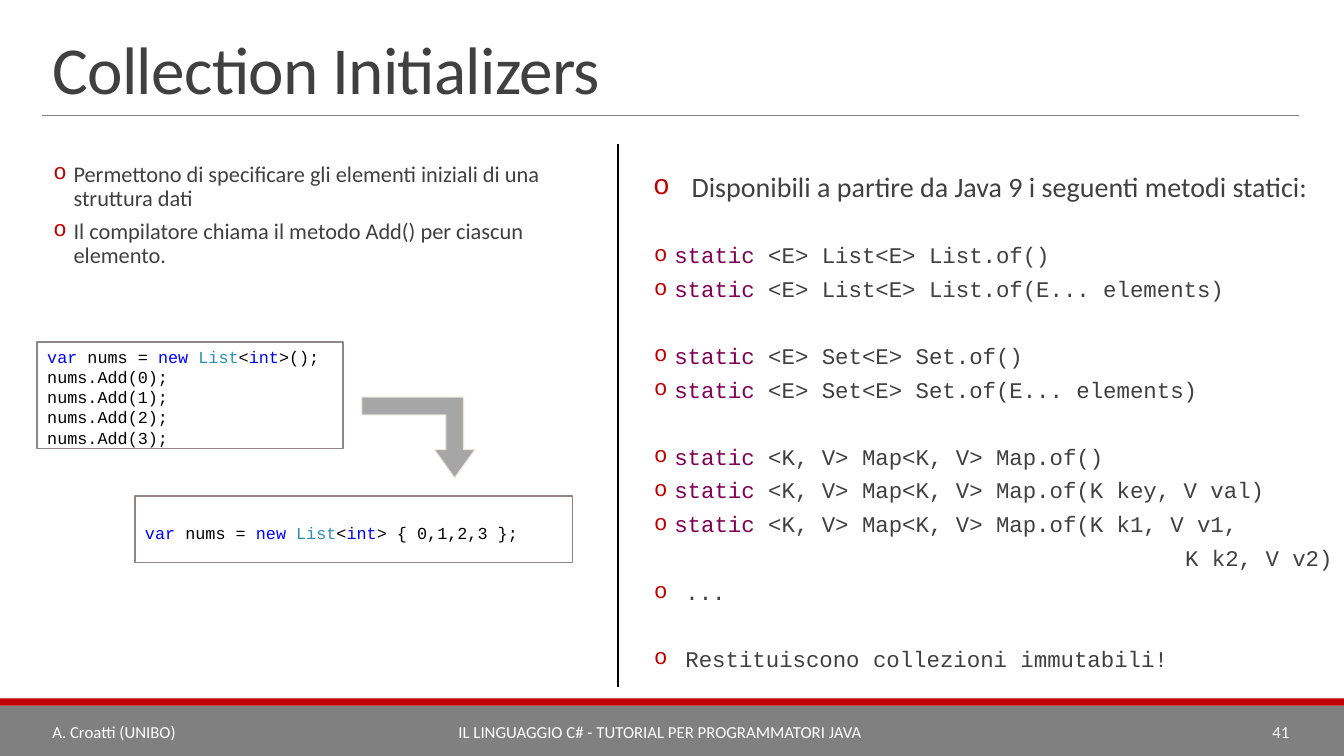
from lxml import etree
from pptx import Presentation, util as u
from pptx.dml.color import RGBColor
from pptx.enum import shapes, text
from pptx.oxml import ns

COLS, ROWS = 133.33, 75
CELL = u.Inches(0.1)
SANS, MONO = "Calibri", "Courier New"
INK, WHITE, BLACK, RED, GREY = "404040", "FFFFFF", "000000", "C00000", "808080"
KEYWORD, TYPE, STATIC = "0000FF", "2B91AF", "7F0055"
LEFT, CENTER, RIGHT = text.PP_ALIGN.LEFT, text.PP_ALIGN.CENTER, text.PP_ALIGN.RIGHT


def grid(*cells):
    return [round(c * CELL) for c in cells]


def rgb(value):
    return RGBColor.from_string(value)


def child(parent, tag, **attrs):
    el = etree.SubElement(parent, ns.qn(tag))
    for key, value in attrs.items():
        el.set(key, str(value))
    return el


def add_box(s, box, fill, line=None, width=1, kind=shapes.MSO_SHAPE.RECTANGLE):
    sp = s.shapes.add_shape(kind, *grid(*box))
    sp.shadow.inherit = False
    sp.fill.solid()
    sp.fill.fore_color.rgb = rgb(fill)
    if line:
        sp.line.color.rgb = rgb(line)
        sp.line.width = u.Pt(width)
    else:
        sp.line.fill.background()
    return sp


def add_line(s, start, end, color, width):
    ln = s.shapes.add_connector(shapes.MSO_CONNECTOR.STRAIGHT, *grid(*start, *end))
    ln.line.color.rgb = rgb(color)
    ln.line.width = u.Pt(width)
    child(ln._element.spPr, "a:effectLst")


def set_insets(tf, left, top, right, bottom):
    tf.margin_left, tf.margin_top, tf.margin_right, tf.margin_bottom = grid(left, top, right, bottom)


def add_text(s, box, insets=(1, 0.5, 1, 0.5), anchor=text.MSO_ANCHOR.TOP):
    tf = s.shapes.add_textbox(*grid(*box)).text_frame
    tf.word_wrap = True
    tf.vertical_anchor = anchor
    set_insets(tf, *insets)
    return tf


def add_paragraph(tf, first):
    return tf.paragraphs[0] if first else tf.add_paragraph()


def style(r, font, size, color):
    r.font.name, r.font.size, r.font.color.rgb = font, u.Pt(size), rgb(color)


def add_runs(p, pieces, font, size):
    for words, color in pieces:
        r = p.add_run()
        r.text = words
        style(r, font, size, color)


def set_bullet(p, margin, hang):
    pPr = p._p.get_or_add_pPr()
    left, indent = grid(margin, -hang)
    pPr.set("marL", str(left))
    pPr.set("indent", str(indent))
    if hang:
        child(child(pPr, "a:buClr"), "a:srgbClr", val=RED)
        child(pPr, "a:buFont", typeface=MONO)
        child(pPr, "a:buChar", char="o")
    else:
        child(pPr, "a:buNone")


def set_spacing(p, before, after):
    p.line_spacing = 0.9
    p.space_before, p.space_after = u.Pt(before), u.Pt(after)


def add_title(s, box):
    left, top, width, height = box
    sp = s.shapes.title
    sp.left, sp.top, sp.width, sp.height = grid(*box)
    tf = sp.text_frame
    tf.text = "Collection Initializers"
    tf.auto_size = text.MSO_AUTO_SIZE.NONE
    tf.vertical_anchor = text.MSO_ANCHOR.BOTTOM
    set_insets(tf, 1, 0.5, 1, 0.5)
    p = tf.paragraphs[0]
    p.alignment, p.line_spacing = LEFT, 0.85
    r = p.runs[0]
    style(r, SANS, 48, INK)
    r._r.get_or_add_rPr().set("spc", "-50")
    rule = top + height + 0.2
    add_line(s, (left, rule), (left + width, rule), GREY, 0.5)


def add_footer(s, box):
    left, top, width, height = box
    add_box(s, box, GREY)
    add_box(s, (left, top - 0.7, width, 0.7), RED)
    x = left + 4.2
    for words, cols, align in (
        ("A. Croatti (UNIBO)", 18.5, LEFT),
        ("IL LINGUAGGIO C# - TUTORIAL PER PROGRAMMATORI JAVA", 85.6, CENTER),
        ("41", 20.6, RIGHT),
    ):
        tf = add_text(s, (x, top + 0.6, cols, 4), anchor=text.MSO_ANCHOR.MIDDLE)
        tf.text = words
        p = tf.paragraphs[0]
        p.alignment = align
        style(p.runs[0], SANS, 12, WHITE)
        x += cols


def add_points(s, box):
    tf = add_text(s, box, (0, 0.5, 0, 0.5))
    for i, words in enumerate((
        "Permettono di specificare gli elementi iniziali di una struttura dati",
        "Il compilatore chiama il metodo Add() per ciascun elemento.",
    )):
        p = add_paragraph(tf, i == 0)
        p.text = words
        set_bullet(p, 6.2, 2)
        set_spacing(p, 2 if i else 0, 4)
        style(p.runs[0], SANS, 16, INK)


def add_code(s, box, top_inset, lines):
    tf = add_box(s, box, WHITE, "918485", 1.25).text_frame
    tf.word_wrap = True
    tf.vertical_anchor = text.MSO_ANCHOR.TOP
    set_insets(tf, 1, top_inset, 1, 0)
    for i, pieces in enumerate(lines):
        p = add_paragraph(tf, i == 0)
        p.alignment = LEFT
        add_runs(p, pieces, MONO, 12)


def declaration(ending):
    return [("var", KEYWORD), (" nums = ", BLACK), ("new ", KEYWORD), ("List", TYPE),
            ("<", BLACK), ("int", KEYWORD), (ending, BLACK)]


def add_example(s, box):
    left, top, width, height = box
    adds = [[(f"nums.Add({n});", BLACK)] for n in range(4)]
    add_code(s, (left + 9.7, top + 15.3, 43.4, 6.6), 2.7, [declaration("> { 0,1,2,3 };")])
    add_code(s, (left, top, 30.3, 10.6), 0.5, [declaration(">();")] + adds)
    arrow = add_box(s, (left + 32.2, top + 5.5, 11.2, 8), "A6A6A6", "E9E5DC", 0.75,
                    shapes.MSO_SHAPE.BENT_UP_ARROW)
    for i, share in enumerate((0.22, 0.25, 0.35)):
        arrow.adjustments[i] = share
    arrow.rotation = 180
    arrow._element.spPr.find(ns.qn("a:xfrm")).set("flipH", "1")


def add_methods(s, box):
    tf = add_text(s, box, (0, 0.5, 0, 0.5))
    p = tf.paragraphs[0]
    p.text = "Disponibili a partire da Java 9 i seguenti metodi statici:"
    set_bullet(p, 5.9, 3.8)
    set_spacing(p, 0, 4)
    style(p.runs[0], SANS, 20, INK)
    groups = (
        ("<E> List<E> List.of()", "<E> List<E> List.of(E... elements)"),
        ("<E> Set<E> Set.of()", "<E> Set<E> Set.of(E... elements)"),
        ("<K, V> Map<K, V> Map.of()", "<K, V> Map<K, V> Map.of(K key, V val)",
         "<K, V> Map<K, V> Map.of(K k1, V v1,"),
    )
    rows = [([("static ", STATIC), (sign, INK)], 4.2, 2, LEFT, i == 0)
            for group in groups for i, sign in enumerate(group)]
    rows += [([("K k2, V v2)", INK)], 2.2, 0, RIGHT, False),
             ([("...", INK)], 5.3, 3.1, LEFT, False),
             ([("Restituiscono collezioni immutabili!", INK)], 5.3, 3.1, LEFT, True)]
    for pieces, margin, hang, align, gap in rows:
        p = tf.add_paragraph()
        set_bullet(p, margin, hang)
        set_spacing(p, 25.3 if gap else 2, 5)
        p.alignment = align
        add_runs(p, pieces, MONO, 16)


def main():
    prs = Presentation()
    prs.slide_width, prs.slide_height = grid(COLS, ROWS)
    s = prs.slides.add_slide(prs.slide_layouts[5])
    add_footer(s, (0, 70, COLS, 5))
    add_title(s, (4.2, 3.1, 124.7, 8.1))
    add_methods(s, (62.7, 16.7, 69.5, 49.5))
    add_line(s, (61.3, 14.3), (61.3, 68.2), BLACK, 1)
    add_example(s, (3.7, 33.9, 53.1, 21.9))
    add_points(s, (1.1, 15.7, 58.2, 17))
    prs.save("out.pptx")


if __name__ == "__main__":
    main()
